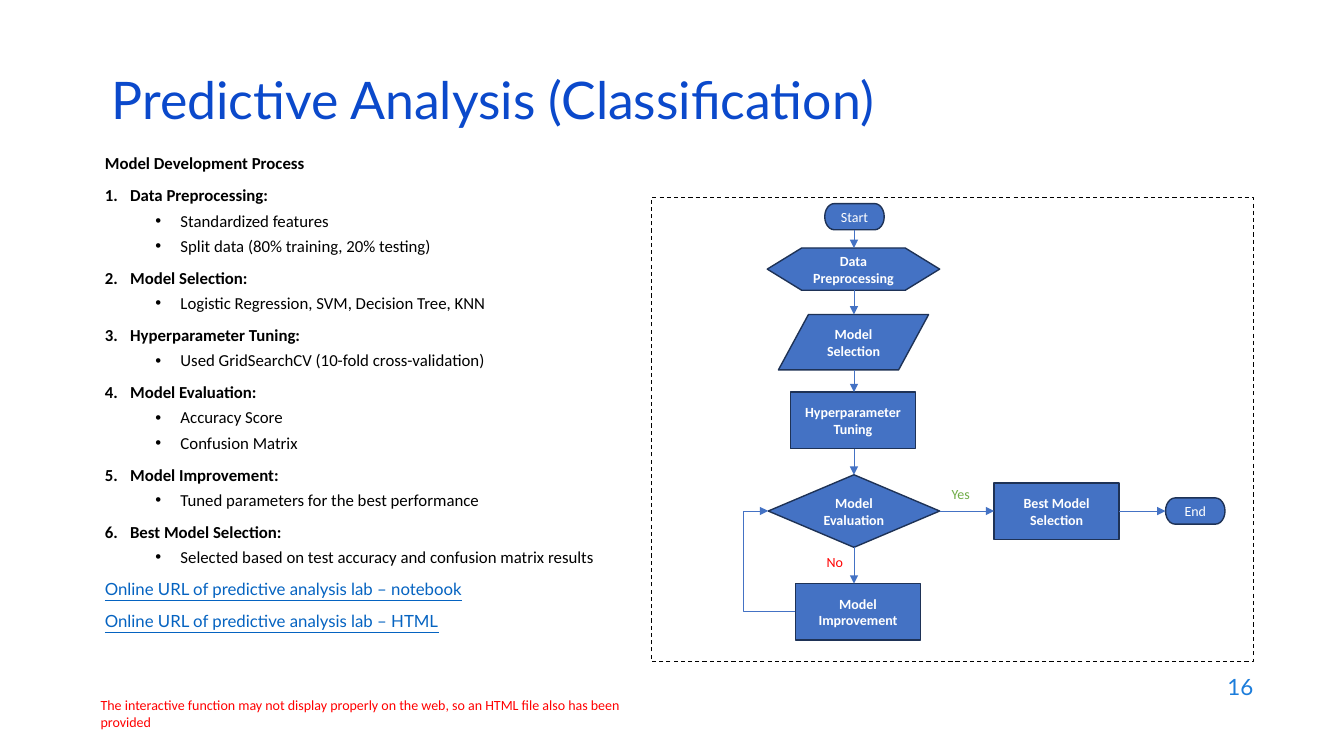
from lxml import etree
from pptx import Presentation
from pptx.dml.color import RGBColor
from pptx.enum.dml import MSO_LINE
from pptx.enum.shapes import MSO_CONNECTOR, MSO_SHAPE
from pptx.enum.text import MSO_ANCHOR, MSO_AUTO_SIZE, PP_ALIGN
from pptx.oxml.ns import qn
from pptx.util import Inches, Pt

STRAIGHT, ELBOW = MSO_CONNECTOR.STRAIGHT, MSO_CONNECTOR.ELBOW
PROCESS = MSO_SHAPE.FLOWCHART_PROCESS
TERMINATOR = MSO_SHAPE.FLOWCHART_TERMINATOR
LEFT, CENTER, RIGHT = PP_ALIGN.LEFT, PP_ALIGN.CENTER, PP_ALIGN.RIGHT
TOP, MIDDLE = MSO_ANCHOR.TOP, MSO_ANCHOR.MIDDLE

BLUE, NAVY, WHITE, BLACK, RED = "4472C4", "1E3256", "FFFFFF", "000000", "FF0000"
TITLE_BLUE, LINK_BLUE, NUMBER_BLUE, GREEN = "0B49CB", "0563C1", "1C7DDB", "70AD47"

TITLE = "Predictive Analysis (Classification)"
HEADING = "Model Development Process"
STEPS = [
    ("Data Preprocessing:", ["Standardized features", "Split data (80% training, 20% testing)"]),
    ("Model Selection:", ["Logistic Regression, SVM, Decision Tree, KNN"]),
    ("Hyperparameter Tuning:", ["Used GridSearchCV (10-fold cross-validation)"]),
    ("Model Evaluation:", ["Accuracy Score", "Confusion Matrix"]),
    ("Model Improvement:", ["Tuned parameters for the best performance"]),
    ("Best Model Selection:", ["Selected based on test accuracy and confusion matrix results"]),
]
LINKS = [
    "Online URL of predictive analysis lab – notebook",
    "Online URL of predictive analysis lab – HTML",
]
PANEL = (6.46, 1.96, 5.97, 4.6)
NODES = {
    "start": ("Start", TERMINATOR, (8.18, 2.02, 0.59, 0.26)),
    "prepare": ("Data Preprocessing", MSO_SHAPE.FLOWCHART_PREPARATION, (7.61, 2.46, 1.71, 0.42)),
    "select": ("Model Selection", MSO_SHAPE.FLOWCHART_DATA, (7.72, 3.12, 1.49, 0.55)),
    "tune": ("Hyperparameter Tuning", PROCESS, (7.84, 3.89, 1.24, 0.56)),
    "evaluate": ("Model Evaluation", MSO_SHAPE.FLOWCHART_DECISION, (7.62, 4.71, 1.7, 0.72)),
    "improve": ("Model Improvement", PROCESS, (7.89, 5.79, 1.24, 0.56)),
    "best": ("Best Model Selection", PROCESS, (9.86, 4.79, 1.24, 0.56)),
    "end": ("End", TERMINATOR, (11.56, 4.94, 0.59, 0.26)),
}
DOWN_FLOW = ["start", "prepare", "select", "tune", "evaluate", "improve"]
RIGHT_FLOW = ["evaluate", "best", "end"]
FLOW_X, FLOW_Y, LOOP_X = 8.47, 5.07, 7.37
LABELS = [
    ("No", (8.1, 5.44, 0.37, 0.27), "Calibri", 10, RED, LEFT, TOP),
    ("Yes", (9.34, 4.77, 0.39, 0.27), "Calibri", 10, GREEN, LEFT, TOP),
    ("The interactive function may not display properly on the web, so an HTML file also has been provided",
     (0.9, 6.86, 5.87, 0.44), "Calibri", 10, RED, LEFT, TOP),
    ("16", (9.53, 6.59, 3, 0.44), "Lato", 16, NUMBER_BLUE, RIGHT, MIDDLE),
]


def color(value):
    return RGBColor.from_string(value)


def set_font(paragraph, name, size, value, bold=False):
    font = paragraph.font
    font.name, font.size, font.bold = name, Pt(size), bold
    font.color.rgb = color(value)


def place(shape, box):
    shape.left, shape.top, shape.width, shape.height = map(Inches, box)


def set_bullet(paragraph, margin, indent, tag, **attributes):
    properties = paragraph._p.get_or_add_pPr()
    properties.set("marL", str(Inches(margin)))
    properties.set("indent", str(Inches(indent)))
    etree.SubElement(properties, qn(tag), attributes)


def add_line(text_frame, text, first=False, level=0):
    paragraph = text_frame.paragraphs[0] if first else text_frame.add_paragraph()
    paragraph.text = text
    paragraph.level = level
    paragraph.line_spacing = 0.9
    paragraph.space_before = Pt(0 if first else 5 if level else 10)
    return paragraph


def fill_body(text_frame):
    paragraph = add_line(text_frame, HEADING, first=True)
    set_bullet(paragraph, 0, 0, "a:buNone")
    set_font(paragraph, "Calibri", 12, BLACK, True)
    for step, details in STEPS:
        paragraph = add_line(text_frame, step)
        set_bullet(paragraph, 0.25, -0.25, "a:buAutoNum", type="arabicPeriod")
        set_font(paragraph, "Calibri", 12, BLACK, True)
        for detail in details:
            paragraph = add_line(text_frame, detail, level=1)
            set_bullet(paragraph, 0.75, -0.25, "a:buChar", char="•")
            set_font(paragraph, "Calibri", 12, BLACK)
    for link in LINKS:
        paragraph = add_line(text_frame, link)
        set_bullet(paragraph, 0, 0, "a:buNone")
        set_font(paragraph, "Lato", 12, LINK_BLUE)
        paragraph.font.underline = True


def add_arrow(slide, kind, start, end):
    connector = slide.shapes.add_connector(kind, *map(Inches, start + end))
    connector.line.color.rgb = color(BLUE)
    connector.line.width = Pt(0.5)
    etree.SubElement(connector.line._get_or_add_ln(), qn("a:tailEnd"), type="triangle")
    etree.SubElement(connector._element.spPr, qn("a:effectLst"))
    return connector


def add_loop(slide):
    improve, evaluate = NODES["improve"][2], NODES["evaluate"][2]
    start = (improve[0], improve[1] + improve[3] / 2)
    connector = add_arrow(slide, ELBOW, start, (evaluate[0], FLOW_Y))
    bend = (improve[0] - LOOP_X) / (improve[0] - evaluate[0])
    geometry = connector._element.spPr.find(qn("a:prstGeom"))
    guides = geometry.find(qn("a:avLst"))
    if guides is None:
        guides = etree.SubElement(geometry, qn("a:avLst"))
    etree.SubElement(guides, qn("a:gd"), name="adj1", fmla=f"val {round(bend * 100000)}")


def add_node(slide, text, kind, box):
    shape = slide.shapes.add_shape(kind, *map(Inches, box))
    shape.shadow.inherit = False
    shape.fill.solid()
    shape.fill.fore_color.rgb = color(BLUE)
    shape.line.color.rgb = color(NAVY)
    shape.line.width = Pt(1)
    shape.text_frame.word_wrap = True
    shape.text_frame.vertical_anchor = MIDDLE
    paragraph = shape.text_frame.paragraphs[0]
    paragraph.text = text
    paragraph.alignment = CENTER
    set_font(paragraph, "Calibri", 10, WHITE, kind != TERMINATOR)


def add_label(slide, text, box, font, size, value, alignment, anchor):
    text_frame = slide.shapes.add_textbox(*map(Inches, box)).text_frame
    text_frame.word_wrap = alignment == RIGHT
    text_frame.vertical_anchor = anchor
    paragraph = text_frame.paragraphs[0]
    paragraph.text = text
    paragraph.alignment = alignment
    set_font(paragraph, font, size, value)


def main():
    presentation = Presentation()
    presentation.slide_width, presentation.slide_height = Inches(13.33), Inches(7.5)
    slide = presentation.slides.add_slide(presentation.slide_layouts[1])

    title, body = slide.shapes.title, slide.placeholders[1]
    place(title, (1.01, 0.76, 11.5, 0.6))
    place(body, (0.94, 1.49, 5.09, 5.26))
    for placeholder, anchor in ((title, MIDDLE), (body, TOP)):
        placeholder.text_frame.vertical_anchor = anchor
        placeholder.text_frame.auto_size = MSO_AUTO_SIZE.NONE
    paragraph = title.text_frame.paragraphs[0]
    paragraph.text = TITLE
    paragraph.alignment = LEFT
    paragraph.line_spacing = 0.7
    set_font(paragraph, "Lato", 37, TITLE_BLUE)
    fill_body(body.text_frame)

    panel = slide.shapes.add_shape(MSO_SHAPE.RECTANGLE, *map(Inches, PANEL))
    panel.shadow.inherit = False
    panel.fill.background()
    panel.line.color.rgb = color(BLACK)
    panel.line.width = Pt(0.75)
    panel.line.dash_style = MSO_LINE.DASH

    for node in NODES.values():
        add_node(slide, *node)
    for source, target in zip(DOWN_FLOW, DOWN_FLOW[1:]):
        upper, lower = NODES[source][2], NODES[target][2]
        add_arrow(slide, STRAIGHT, (FLOW_X, upper[1] + upper[3]), (FLOW_X, lower[1]))
    for source, target in zip(RIGHT_FLOW, RIGHT_FLOW[1:]):
        before, after = NODES[source][2], NODES[target][2]
        add_arrow(slide, STRAIGHT, (before[0] + before[2], FLOW_Y), (after[0], FLOW_Y))
    add_loop(slide)
    for label in LABELS:
        add_label(slide, *label)
    presentation.save("out.pptx")


if __name__ == "__main__":
    main()
